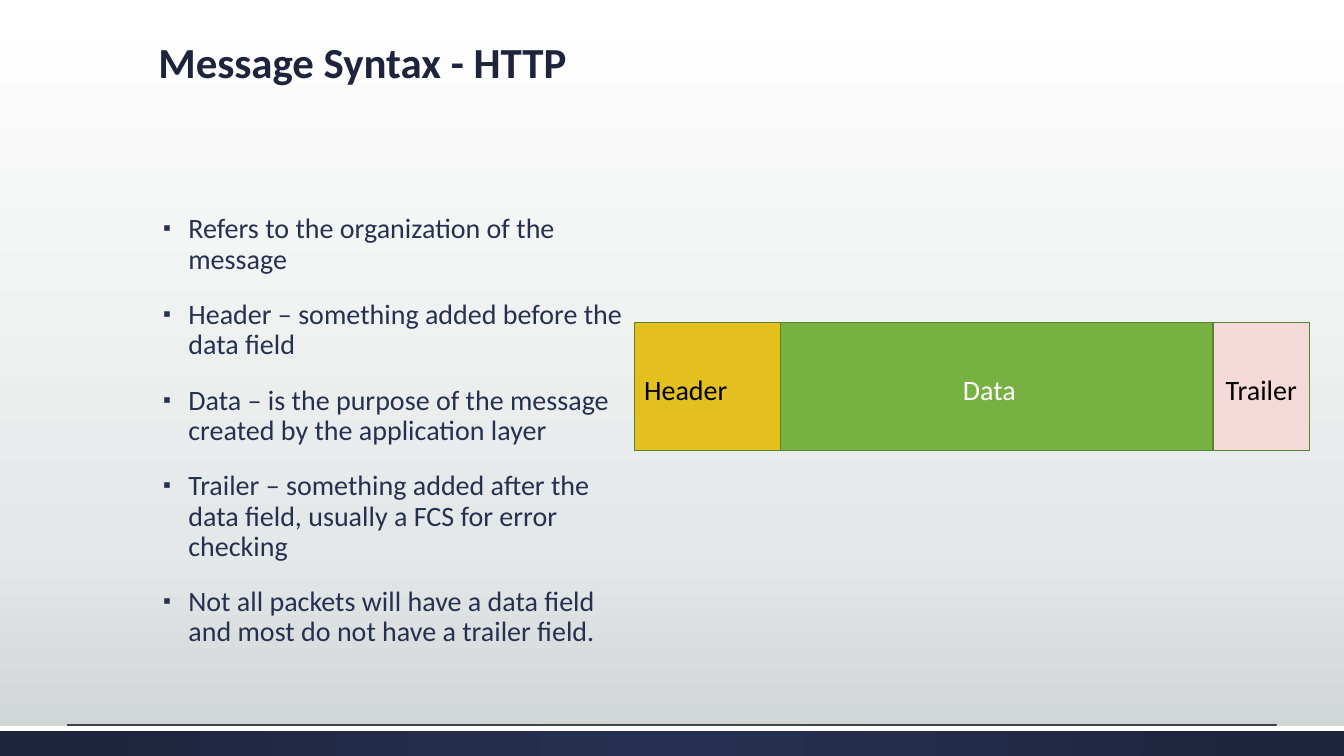
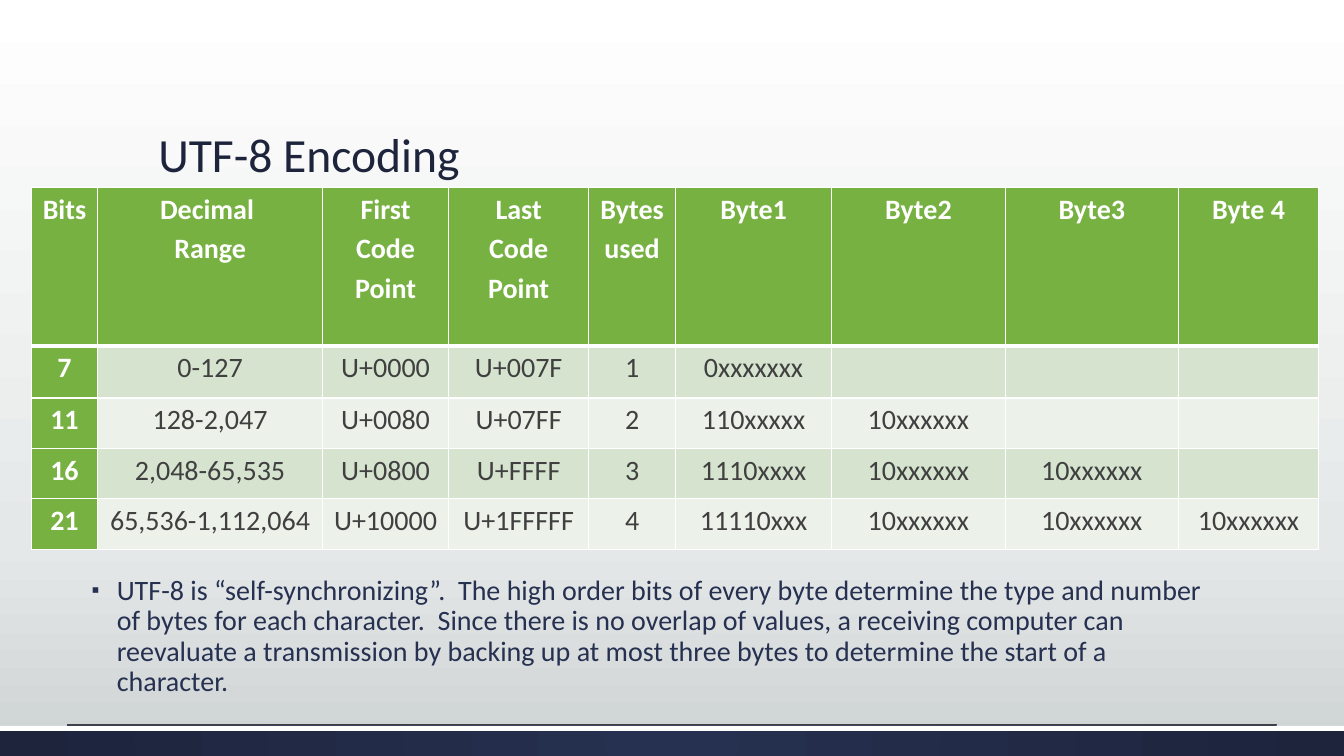
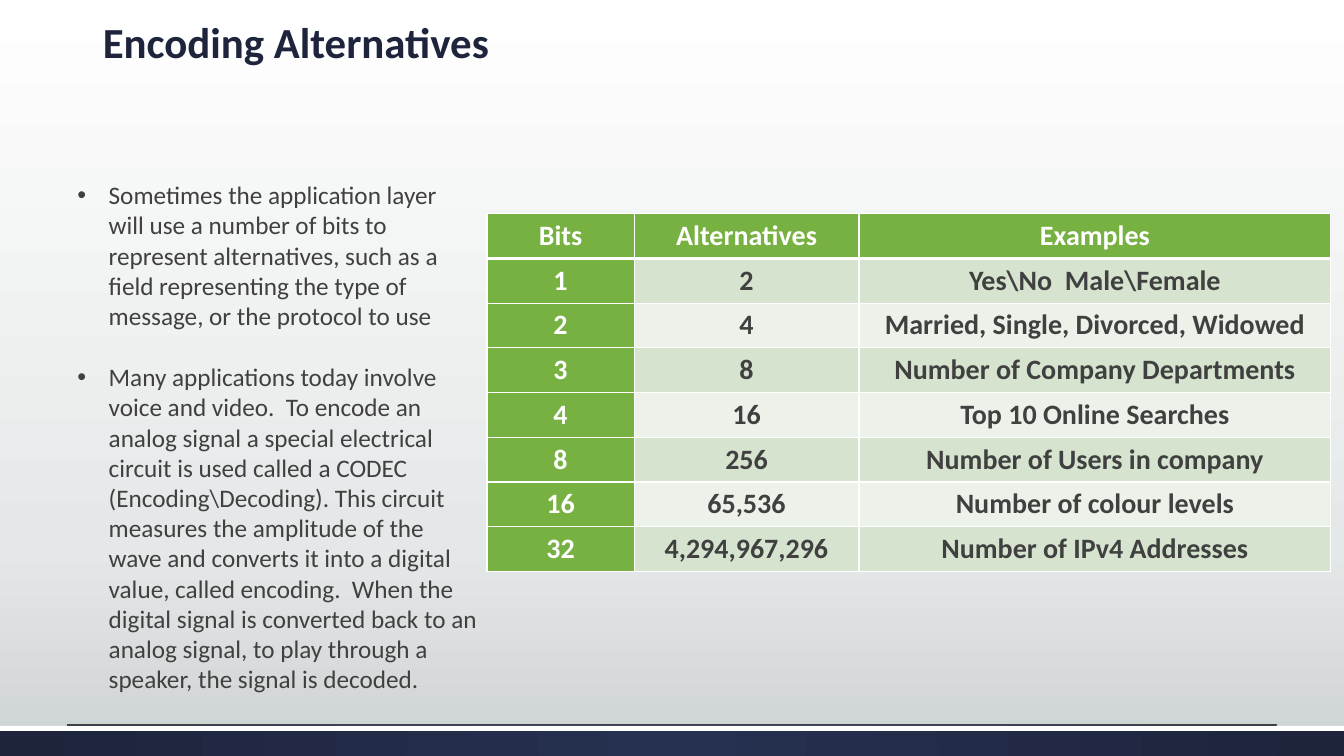
import itertools

import pptx
import pptx.dml.color
import pptx.enum.shapes
import pptx.enum.text
import pptx.oxml
import pptx.oxml.ns
import pptx.util

RGBColor = pptx.dml.color.RGBColor
WHITE = RGBColor(0xFF, 0xFF, 0xFF)
BLACK = RGBColor(0x00, 0x00, 0x00)
NAVY = RGBColor(0x26, 0x30, 0x50)
DARK_NAVY = RGBColor(0x1D, 0x24, 0x3C)
CHARCOAL = RGBColor(0x40, 0x40, 0x40)
MIST = RGBColor(0xE5, 0xE8, 0xE8)
SILVER = RGBColor(0xCD, 0xD2, 0xD2)
GREEN = RGBColor(0x77, 0xB1, 0x42)
DARK_GREEN = RGBColor(0x58, 0x83, 0x31)
GREEN_BAND = RGBColor(0xD6, 0xE4, 0xCF)
PALE_BAND = RGBColor(0xEC, 0xF2, 0xE9)
PINK = RGBColor(0xF5, 0xD8, 0xD8)
GOLD = RGBColor(0xE3, 0xC0, 0x1E)

FONT = "Calibri"
SLIDE_WIDTH, SLIDE_HEIGHT = 13.33, 7.5
BAND_TOP = 0.96 * SLIDE_HEIGHT
RULE_MARGIN = 0.05 * SLIDE_WIDTH
TITLE_ONLY_LAYOUT = 5

ALIGN = pptx.enum.text.PP_ALIGN
ANCHOR = pptx.enum.text.MSO_ANCHOR
RECTANGLE = pptx.enum.shapes.MSO_SHAPE.RECTANGLE
STRAIGHT = pptx.enum.shapes.MSO_CONNECTOR.STRAIGHT

LAYER_BULLET = {"bullet": "▪", "bullet_color": NAVY, "bullet_percent": 80, "indent": 0.25,
                "margin": 0.3, "color": NAVY, "line_spacing": 0.9, "space_before": 18}

UTF8_ROWS = [
    ["Bits", "Decimal \nRange", "First Code Point", "Last\nCode\nPoint", "Bytes used",
     "Byte1", "Byte2", "Byte3", "Byte 4"],
    ["7", "0-127", "U+0000", "U+007F", "1", "0xxxxxxx", "", "", ""],
    ["11", "128-2,047", "U+0080", "U+07FF", "2", "110xxxxx", "10xxxxxx", "", ""],
    ["16", "2,048-65,535", "U+0800", "U+FFFF", "3", "1110xxxx", "10xxxxxx", "10xxxxxx", ""],
    ["21", "65,536-1,112,064", "U+10000", "U+1FFFFF", "4", "11110xxx", "10xxxxxx",
     "10xxxxxx", "10xxxxxx"],
]
ALTERNATIVE_ROWS = [
    ["Bits", "Alternatives", "Examples"],
    ["1", "2", "Yes\\No  Male\\Female"],
    ["2", "4", "Married, Single, Divorced, Widowed"],
    ["3", "8", "Number of Company Departments"],
    ["4", "16", "Top 10 Online Searches"],
    ["8", "256", "Number of Users in company"],
    ["16", "65,536", "Number of colour levels"],
    ["32", "4,294,967,296", "Number of IPv4 Addresses"],
]


def inches(*lengths):
    return [pptx.util.Inches(length) for length in lengths]


def make_xml(text):
    """Parse an XML fragment whose root is written as '<a:name'."""
    root, rest = text.split(">", 1)
    slash = "/" if root.endswith("/") else ""
    return pptx.oxml.parse_xml(f"{root.rstrip('/')} {pptx.oxml.ns.nsdecls('a')}{slash}>{rest}")


def set_gradient(parent, stops, direction):
    """Replace the parent's solid fill by a gradient of (percent, color) stops."""
    stop_xml = "".join(f'<a:gs pos="{percent * 1000}"><a:srgbClr val="{color}"/></a:gs>'
                       for percent, color in stops)
    solid = parent.find(pptx.oxml.ns.qn("a:solidFill"))
    parent.replace(solid, make_xml(
        f'<a:gradFill rotWithShape="1"><a:gsLst>{stop_xml}</a:gsLst>{direction}</a:gradFill>'))


def set_bullet(paragraph, character, color, percent, margin, indent):
    properties = paragraph._p.get_or_add_pPr()
    properties.set("marL", str(pptx.util.Inches(margin)))
    properties.set("indent", str(-pptx.util.Inches(indent)))
    for fragment in (f'<a:buClr><a:srgbClr val="{color}"/></a:buClr>',
                     f'<a:buSzPct val="{percent * 1000}"/>',
                     '<a:buFont typeface="Arial"/>',
                     f'<a:buChar char="{character}"/>'):
        properties.append(make_xml(fragment))


def write_text(frame, *texts, size=20, color=CHARCOAL, bold=False, align=ALIGN.LEFT,
               line_spacing=None, space_before=0, space_after=0, bullet=None,
               bullet_color=CHARCOAL, bullet_percent=100, margin=0, indent=0):
    """Fill a text frame, one paragraph for each text."""
    frame.word_wrap = True
    for index, text in enumerate(texts):
        paragraph = frame.add_paragraph() if index else frame.paragraphs[0]
        paragraph.text = text
        paragraph.alignment = align
        paragraph.line_spacing = line_spacing
        paragraph.space_before = pptx.util.Pt(space_before)
        paragraph.space_after = pptx.util.Pt(space_after)
        if bullet:
            set_bullet(paragraph, bullet, bullet_color, bullet_percent, margin, indent)
        for run in paragraph.runs:
            run.font.name = FONT
            run.font.size = pptx.util.Pt(size)
            run.font.bold = bold
            run.font.color.rgb = color


def add_rectangle(slide, box, fill, line=None):
    shape = slide.shapes.add_shape(RECTANGLE, *inches(*box))
    shape.shadow.inherit = False
    shape.fill.solid()
    shape.fill.fore_color.rgb = fill
    if line is None:
        shape.line.fill.background()
    else:
        shape.line.color.rgb = line
        shape.line.width = pptx.util.Pt(1)
    return shape


def add_text_box(slide, box, *texts, **text_format):
    text_box = slide.shapes.add_textbox(*inches(*box))
    write_text(text_box.text_frame, *texts, **text_format)


def add_titled_slide(presentation, title, box, anchor=ANCHOR.TOP, size=30.6, bold=True):
    slide = presentation.slides.add_slide(presentation.slide_layouts[TITLE_ONLY_LAYOUT])
    placeholder = slide.shapes.title
    placeholder.left, placeholder.top, placeholder.width, placeholder.height = inches(*box)
    frame = placeholder.text_frame
    frame.auto_size = pptx.enum.text.MSO_AUTO_SIZE.NONE
    frame.vertical_anchor = anchor
    write_text(frame, title, size=size, bold=bold, color=DARK_NAVY, line_spacing=0.9)
    return slide


def set_cell_borders(cell, top, bottom):
    """Draw white borders; top and bottom are widths in points."""
    properties = cell._tc.get_or_add_tcPr()
    for side, width in (("L", 1), ("R", 1), ("T", top), ("B", bottom)):
        properties.append(make_xml(
            f'<a:ln{side} w="{pptx.util.Pt(width)}"><a:solidFill>'
            f'<a:srgbClr val="{WHITE}"/></a:solidFill></a:ln{side}>'))


def add_green_table(slide, left, top, column_widths, row_heights, rows, bold_body):
    """Add a banded table with a green header row and first column."""
    table = slide.shapes.add_table(
        len(rows), len(column_widths),
        *inches(left, top, sum(column_widths), sum(row_heights))).table
    for column, width in zip(table.columns, inches(*column_widths)):
        column.width = width
    for row, height in zip(table.rows, inches(*row_heights)):
        row.height = height
    for row, column in itertools.product(range(len(rows)), range(len(column_widths))):
        cell = table.cell(row, column)
        heading = row == 0 or column == 0
        cell.margin_left = cell.margin_right = pptx.util.Inches(0.07)
        cell.margin_top = cell.margin_bottom = 0
        set_cell_borders(cell, top=3 if row == 1 else 1, bottom=3 if row == 0 else 1)
        cell.fill.solid()
        cell.fill.fore_color.rgb = GREEN if heading else (PALE_BAND, GREEN_BAND)[row % 2]
        write_text(cell.text_frame, rows[row][column], bold=heading or bold_body,
                   color=WHITE if heading else CHARCOAL, align=ALIGN.CENTER, line_spacing=1.15)


def set_up_master(presentation, slide):
    """Put the background, footer band and rule on the master, drawing them through a slide."""
    master = presentation.slide_master
    master.background.fill.solid()
    set_gradient(master.element.xpath(".//p:bgPr")[0],
                 [(0, WHITE), (72, MIST), (100, SILVER)], '<a:lin ang="5400000" scaled="0"/>')

    band = add_rectangle(slide, (0, BAND_TOP, SLIDE_WIDTH, SLIDE_HEIGHT - BAND_TOP), NAVY)
    set_gradient(band.element.spPr, [(0, NAVY), (100, DARK_NAVY)],
                 '<a:path path="circle">'
                 '<a:fillToRect l="50000" t="50000" r="50000" b="50000"/></a:path>')
    stripe = add_rectangle(slide, (0, BAND_TOP, SLIDE_WIDTH, 0.05), WHITE)
    rule_top = BAND_TOP - 0.01
    rule = slide.shapes.add_connector(
        STRAIGHT, *inches(RULE_MARGIN, rule_top, SLIDE_WIDTH - RULE_MARGIN, rule_top))
    rule.line.color.rgb = CHARCOAL
    rule.line.width = pptx.util.Pt(0.75)
    rule.element.spPr.append(make_xml("<a:effectLst/>"))

    for number, shape in enumerate((band, stripe, rule), start=101):
        shape.element.xpath("./*/p:cNvPr")[0].set("id", str(number))
        master.shapes.element.append(shape.element)


def add_message_syntax(presentation):
    slide = add_titled_slide(presentation, "Message Syntax - HTTP", (1.47, 0.36, 10.4, 1.35))
    add_text_box(slide, (1.47, 2.08, 4.83, 4.5),
                 "Refers to the organization of the message",
                 "Header – something added before the data field",
                 "Data – is the purpose of the message created by the application layer",
                 "Trailer – something added after the data field, usually a FCS for error checking",
                 "Not all packets will have a data field and most do not have a trailer field.",
                 **LAYER_BULLET)
    for text, left, width, fill, color, align in (
            ("Data ", 7.66, 4.37, GREEN, WHITE, ALIGN.CENTER),
            ("Trailer ", 12.03, 0.96, PINK, BLACK, ALIGN.CENTER),
            ("Header", 6.29, 1.45, GOLD, BLACK, ALIGN.LEFT)):
        field = add_rectangle(slide, (left, 3.2, width, 1.27), fill, DARK_GREEN)
        field.text_frame.vertical_anchor = ANCHOR.MIDDLE
        write_text(field.text_frame, text, color=color, align=align,
                   line_spacing=1.15, space_after=10)
    return slide


def add_utf8_encoding(presentation):
    slide = add_titled_slide(presentation, "UTF-8 Encoding", (1.47, 0.51, 10.4, 1.35),
                             anchor=ANCHOR.BOTTOM, size=34, bold=False)
    add_text_box(slide, (0.76, 5.67, 11.29, 1.47),
                 "UTF-8 is “self-synchronizing”.  The high order bits of every byte determine the "
                 "type and number of bytes for each character.  Since there is no overlap of "
                 "values, a receiving computer can reevaluate a transmission by backing up at "
                 "most three bytes to determine the start of a character.",
                 **LAYER_BULLET)
    add_green_table(slide, 0.31, 1.86,
                    [0.66, 2.23, 1.25, 1.39, 0.86, 1.55, 1.72, 1.72, 1.39],
                    [1.57, 0.52, 0.5, 0.5, 0.5], UTF8_ROWS, bold_body=False)


def add_encoding_alternatives(presentation):
    slide = add_titled_slide(presentation, "Encoding Alternatives", (0.92, 0.16, 10.4, 0.87))
    add_green_table(slide, 4.83, 2.12, [1.46, 2.23, 4.68],
                    [3.55 / len(ALTERNATIVE_ROWS)] * len(ALTERNATIVE_ROWS),
                    ALTERNATIVE_ROWS, bold_body=True)
    add_text_box(slide, (0.67, 1.73, 4.16, 5.55),
                 "Sometimes the application layer will use a number of bits to represent "
                 "alternatives, such as a field representing the type of message, or the "
                 "protocol to use",
                 "Many applications today involve voice and video.  To encode an analog signal a "
                 "special electrical circuit is used called a CODEC (Encoding\\Decoding). This "
                 "circuit measures the amplitude of the wave and converts it into a digital "
                 "value, called encoding.  When the digital signal is converted back to an "
                 "analog signal, to play through a speaker, the signal is decoded.",
                 size=18, bullet="•", margin=0.31, indent=0.31, space_after=22)


def main():
    presentation = pptx.Presentation()
    presentation.slide_width, presentation.slide_height = inches(SLIDE_WIDTH, SLIDE_HEIGHT)
    first_slide = add_message_syntax(presentation)
    set_up_master(presentation, first_slide)
    add_utf8_encoding(presentation)
    add_encoding_alternatives(presentation)
    presentation.save("out.pptx")


if __name__ == "__main__":
    main()
